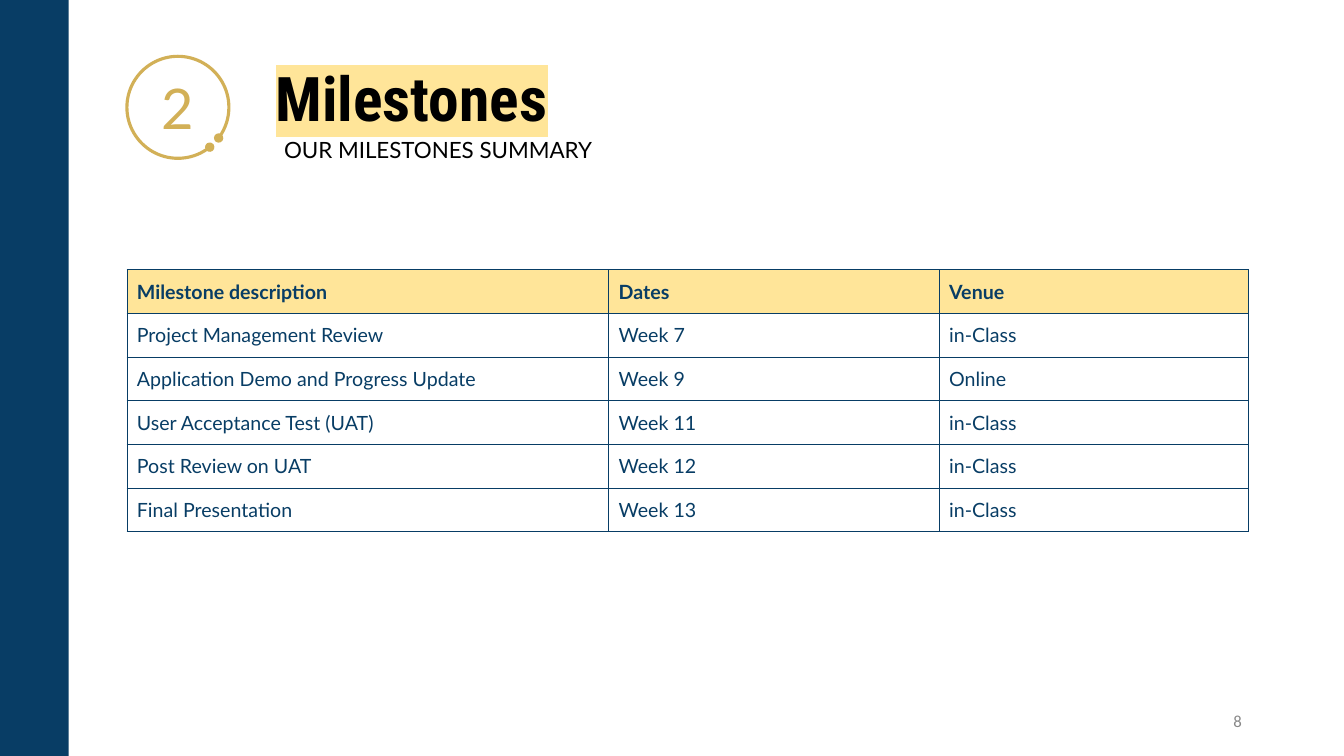
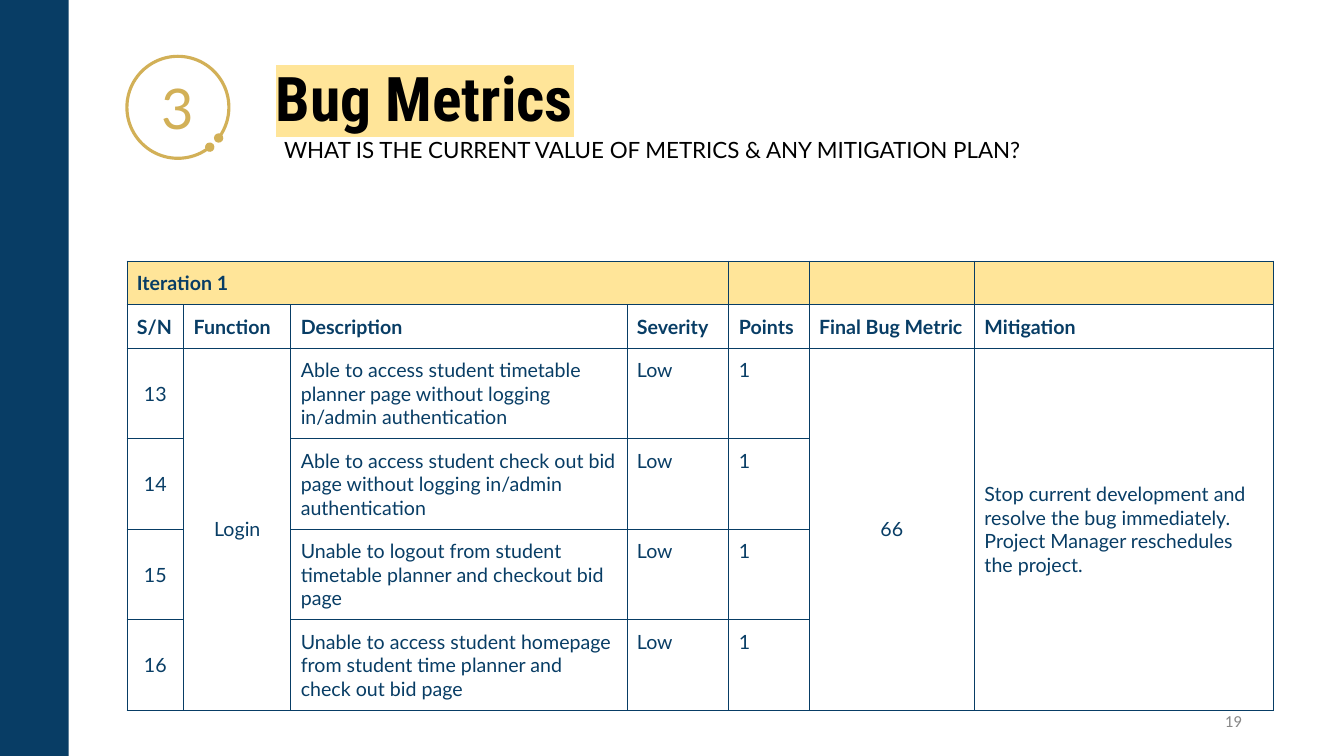
import pptx
import pptx.util
import pptx.dml.color
import pptx.oxml
import pptx.oxml.ns
import pptx.enum.shapes
import pptx.enum.text
import lxml.etree
from dataclasses import dataclass

Cm = pptx.util.Cm
ALIGN = pptx.enum.text.PP_ALIGN
ANCHOR = pptx.enum.text.MSO_ANCHOR
SHAPE = pptx.enum.shapes.MSO_SHAPE
qn = pptx.oxml.ns.qn


@dataclass
class Theme:
    navy: str = "083D65"
    gold: str = "D2B057"
    cream: str = "FFE599"
    black: str = "000000"
    grey: str = "888888"
    title_font: str = "Roboto Condensed"
    body_font: str = "Lato"
    number_font: str = "Calibri"
    title_size: int = 44
    badge_size: int = 40
    subtitle_size: int = 16
    table_size: int = 14
    number_size: int = 12


theme = Theme()


def rgb(colour):
    return pptx.dml.color.RGBColor.from_string(colour)


def write(frame, text, font, size, colour, bold=False, align=ALIGN.LEFT):
    """Put one styled paragraph into a text frame and return it."""
    frame.word_wrap = True
    para = frame.paragraphs[0]
    para.alignment = align
    para.font.name, para.font.size, para.font.bold = font, pptx.util.Pt(size), bold
    para.font.color.rgb = rgb(colour)
    if text:
        para.add_run().text = text
    return para


# Content: column widths and row heights are in centimetres
pages = [
    dict(
        badge="2", title="Milestones", subtitle="OUR MILESTONES SUMMARY", number="8",
        top=6.8, widths=[12.14, 8.33, 7.8], heights=[1.1] * 6,
        bold_rows=1, merges=[], centred=[], middle=[],
        rows=[
            ["Milestone description", "Dates", "Venue"],
            ["Project Management Review", "Week 7", "in-Class"],
            ["Application Demo and Progress Update", "Week 9", "Online"],
            ["User Acceptance Test (UAT)", "Week 11", "in-Class"],
            ["Post Review on UAT", "Week 12", "in-Class"],
            ["Final Presentation", "Week 13", "in-Class"],
        ],
    ),
    dict(
        badge="3", title="Bug Metrics", number="19",
        subtitle="WHAT IS THE CURRENT VALUE OF METRICS & ANY MITIGATION PLAN?",
        top=6.58, widths=[1.43, 2.7, 8.47, 2.57, 2.02, 4.17, 7.54],
        heights=[1.1] * 2 + [2.28] * 4, bold_rows=2,
        merges=[(0, 0, 0, 3), (2, 1, 5, 1), (2, 5, 5, 5), (2, 6, 5, 6)],
        centred=[0, 1, 5], middle=[0, 1, 5, 6],
        rows=[
            ["Iteration 1", "", "", "", "", "", ""],
            ["S/N", "Function", "Description", "Severity", "Points",
             "Final Bug Metric", "Mitigation"],
            ["13", "Login", "Able to access student timetable planner page without "
             "logging in/admin authentication", "Low", "1", "66",
             "Stop current development and resolve the bug immediately. "
             "Project Manager reschedules the project."],
            ["14", "", "Able to access student check out bid page without "
             "logging in/admin authentication", "Low", "1", "", ""],
            ["15", "", "Unable to logout from student timetable planner and "
             "checkout bid page", "Low", "1", "", ""],
            ["16", "", "Unable to access student homepage from student time "
             "planner and check out bid page", "Low", "1", "", ""],
        ],
    ),
]

deck = pptx.Presentation()
deck.slide_width, deck.slide_height = Cm(33.87), Cm(19.05)

for content in pages:
    page = deck.slides.add_slide(deck.slide_layouts[6])

    # Numbered ring, open at the lower right with a dot at each end
    ring = page.shapes.add_shape(SHAPE.ARC, Cm(3.2), Cm(1.42), Cm(2.57), Cm(2.57))
    ring.adjustments[0], ring.adjustments[1] = 30.83, 22.19
    ring.shadow.inherit = False
    ring.fill.background()
    ring.line.color.rgb = rgb(theme.gold)
    ring.line.width = pptx.util.Pt(2.25)
    outline = ring.line._get_or_add_ln()
    for end in ("a:headEnd", "a:tailEnd"):
        lxml.etree.SubElement(outline, qn(end), type="oval")
    ring.text_frame.vertical_anchor = ANCHOR.MIDDLE
    write(ring.text_frame, content["badge"], theme.body_font, theme.badge_size,
          theme.gold, align=ALIGN.CENTER)

    # Side band
    band = page.shapes.add_shape(SHAPE.RECTANGLE, 0, 0, Cm(1.73), deck.slide_height)
    band.shadow.inherit = False
    band.fill.solid()
    band.fill.fore_color.rgb = rgb(theme.navy)
    band.line.fill.background()

    # Highlighted title
    title = page.shapes.add_textbox(Cm(6.7), Cm(0.66), Cm(23.98), Cm(2.77)).text_frame
    title.vertical_anchor = ANCHOR.BOTTOM
    title.margin_bottom = Cm(0.05)
    para = write(title, content["title"], theme.title_font, theme.title_size,
                 theme.black, bold=True)
    span = para.runs[0]
    highlight = lxml.etree.SubElement(span._r.get_or_add_rPr(), qn("a:highlight"))
    lxml.etree.SubElement(highlight, qn("a:srgbClr"), val=theme.cream)

    # Subtitle
    subtitle = page.shapes.add_textbox(Cm(6.91), Cm(3.18), Cm(20.47), Cm(1.19)).text_frame
    subtitle.margin_top = subtitle.margin_bottom = Cm(0.25)
    write(subtitle, content["subtitle"], theme.body_font, theme.subtitle_size, theme.black)

    # Table
    widths, heights = content["widths"], content["heights"]
    table = page.shapes.add_table(len(heights), len(widths), Cm(3.2), Cm(content["top"]),
                                  Cm(sum(widths)), Cm(sum(heights))).table
    table.first_row = table.horz_banding = False
    for column, width in zip(table.columns, widths):
        column.width = Cm(width)
    for row, height in zip(table.rows, heights):
        row.height = Cm(height)

    for r, texts in enumerate(content["rows"]):
        for c, text in enumerate(texts):
            cell = table.cell(r, c)
            heading = r < content["bold_rows"]
            cell.margin_left = cell.margin_right = Cm(0.25)
            cell.margin_top = cell.margin_bottom = Cm(0.25)
            if not heading and c in content["middle"]:
                cell.vertical_anchor = ANCHOR.MIDDLE
            centred = not heading and c in content["centred"]
            write(cell.text_frame, text, theme.body_font, theme.table_size, theme.navy,
                  bold=heading, align=ALIGN.CENTER if centred else ALIGN.LEFT)
            if r == 0:
                cell.fill.solid()
                cell.fill.fore_color.rgb = rgb(theme.cream)
            else:
                cell.fill.background()
            # Borders come before the fill in the cell properties
            for place, side in enumerate(("lnL", "lnR", "lnT", "lnB")):
                border = pptx.oxml.parse_xml(
                    f'<a:{side} {pptx.oxml.ns.nsdecls("a")} w="9525"><a:solidFill>'
                    f'<a:srgbClr val="{theme.navy}"/></a:solidFill></a:{side}>')
                cell._tc.get_or_add_tcPr().insert(place, border)

    for top, left, bottom, right in content["merges"]:
        table.cell(top, left).merge(table.cell(bottom, right))

    # Page number
    number = page.shapes.add_textbox(Cm(23.93), Cm(17.65), Cm(7.62), Cm(1.02)).text_frame
    number.vertical_anchor = ANCHOR.MIDDLE
    write(number, content["number"], theme.number_font, theme.number_size, theme.grey,
          align=ALIGN.RIGHT)

deck.save("out.pptx")
